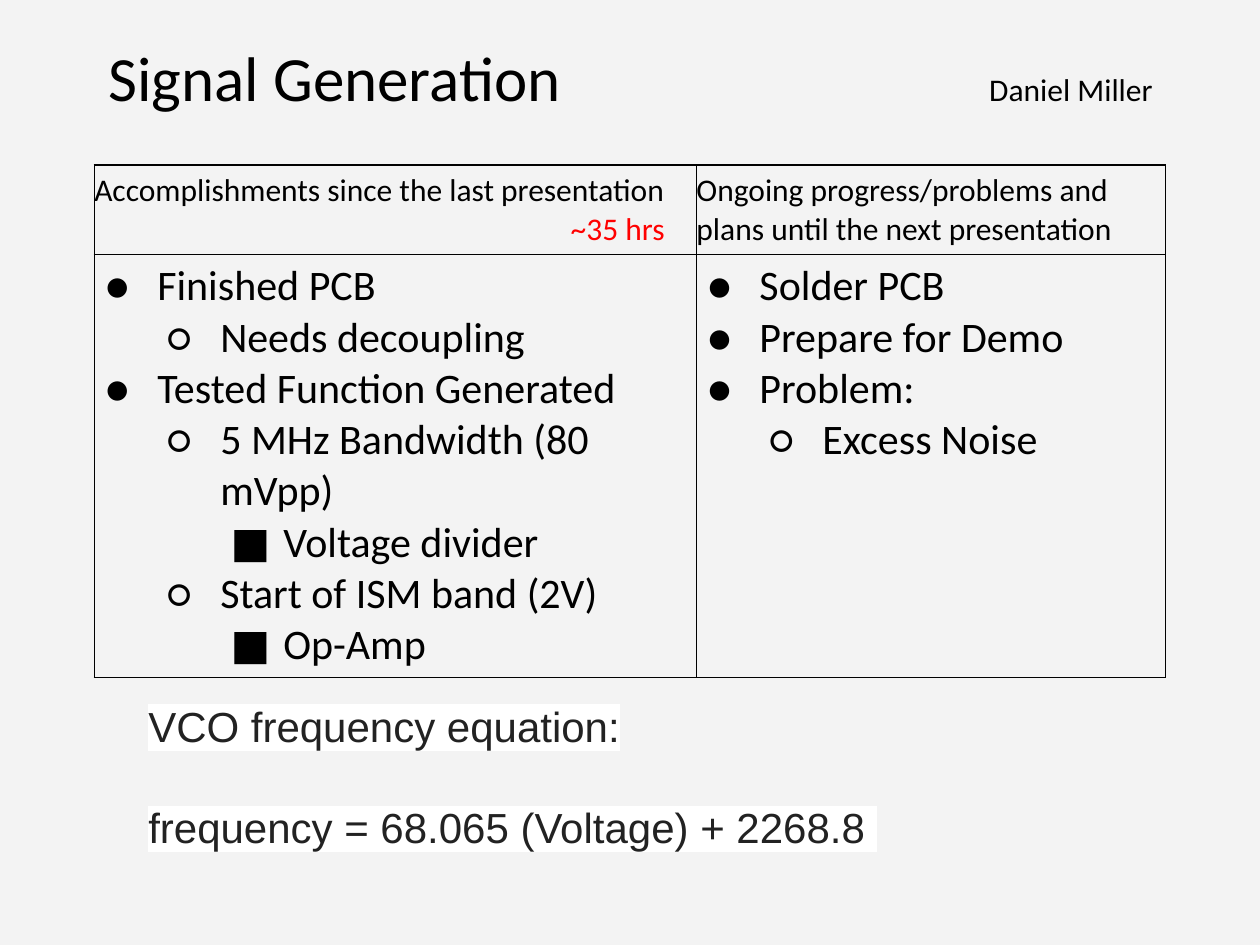
from lxml import etree
from pptx import Presentation
from pptx.dml.color import RGBColor
from pptx.enum.text import MSO_ANCHOR
from pptx.oxml.ns import qn
from pptx.util import Cm, Pt

MIDDLE = MSO_ANCHOR.MIDDLE
TOP = MSO_ANCHOR.TOP
COLORS = {
    "background": "F3F3F3",
    "text": "000000",
    "hours": "FF0000",
    "equation": "222222",
    "highlight": "FFFFFF",
}
BULLETS = "●○■"
ACCOMPLISHMENTS = [
    (0, "Finished PCB"),
    (1, "Needs decoupling"),
    (0, "Tested Function Generated"),
    (1, "5 MHz Bandwidth (80 mVpp)"),
    (2, "Voltage divider"),
    (1, "Start of ISM band (2V)"),
    (2, "Op-Amp"),
]
PLANS = [
    (0, "Solder PCB"),
    (0, "Prepare for Demo"),
    (0, "Problem:"),
    (1, "Excess Noise"),
]


def style_font(font, size, color="text", name="Calibri"):
    """Set size, colour and typeface of a font."""
    font.size = Pt(size)
    font.name = name
    font.color.rgb = RGBColor.from_string(COLORS[color])


def add_run(paragraph, text, size, color="text", name="Calibri"):
    """Append a styled run and return it."""
    run = paragraph.add_run()
    run.text = text
    style_font(run.font, size, color, name)
    return run


def add_right_tab(paragraph, position):
    """Give a paragraph a right-aligned tab stop."""
    properties = paragraph._p.get_or_add_pPr()
    tabs = etree.SubElement(properties, qn("a:tabLst"))
    etree.SubElement(tabs, qn("a:tab"), pos=str(position), algn="r")


def add_bullet(paragraph, level):
    """Give a paragraph the bullet and indent of its level."""
    paragraph.level = level
    properties = paragraph._p.get_or_add_pPr()
    properties.set("marL", str(Cm(1.27 * (level + 1))))
    properties.set("indent", str(Cm(-1.06)))
    color = etree.SubElement(properties, qn("a:buClr"))
    etree.SubElement(color, qn("a:srgbClr"), val=COLORS["text"])
    etree.SubElement(properties, qn("a:buFont"), typeface="Calibri")
    etree.SubElement(properties, qn("a:buChar"), char=BULLETS[level])


def next_paragraph(frame, index):
    """Return the first paragraph for index 0, otherwise a new one."""
    return frame.add_paragraph() if index else frame.paragraphs[0]


def add_heading(slide, left, top, width, height):
    """Place the title on the left and the presenter on the right."""
    frame = slide.shapes.add_textbox(left, top, width, height).text_frame
    frame.word_wrap = True
    frame.vertical_anchor = MIDDLE
    frame.margin_left = frame.margin_right = Cm(1.12)
    paragraph = frame.paragraphs[0]
    add_right_tab(paragraph, width - frame.margin_left - frame.margin_right)
    add_run(paragraph, "Signal Generation", 36)
    add_run(paragraph, "\tDaniel Miller", 18)


def format_cell(cell):
    """Clear the fill, set margins and draw the four borders."""
    cell.fill.background()
    cell.margin_left = cell.margin_right = 0
    cell.margin_top = cell.margin_bottom = Cm(0.13)
    cell.vertical_anchor = TOP
    properties = cell._tc.get_or_add_tcPr()
    for index, side in enumerate(("lnL", "lnR", "lnT", "lnB")):
        line = etree.Element(qn(f"a:{side}"), w=str(Pt(1)))
        fill = etree.SubElement(line, qn("a:solidFill"))
        etree.SubElement(fill, qn("a:srgbClr"), val=COLORS["text"])
        properties.insert(index, line)


def fill_list(cell, items):
    """Write the bulleted items into a cell."""
    for index, (level, text) in enumerate(items):
        paragraph = next_paragraph(cell.text_frame, index)
        add_bullet(paragraph, level)
        add_run(paragraph, text, 24)


def add_status_table(slide, left, top, width, height):
    """Place the table of accomplishments and plans."""
    table = slide.shapes.add_table(2, 2, left, top, width, height).table
    table.first_row = table.horz_banding = False
    table.columns[0].width = Cm(12.14)
    table.columns[1].width = width - Cm(12.14)
    table.rows[0].height = Cm(1.8)
    table.rows[1].height = height - Cm(1.8)
    for cell in table.iter_cells():
        format_cell(cell)

    done = table.cell(0, 0).text_frame
    add_run(done.paragraphs[0], "Accomplishments since the last presentation", 18)
    hours = done.add_paragraph()
    add_right_tab(hours, Cm(11.5))
    add_run(hours, "\t~35 hrs", 18, "hours")
    plans = table.cell(0, 1).text_frame.paragraphs[0]
    add_run(plans, "Ongoing progress/problems and plans until the next presentation", 18)
    fill_list(table.cell(1, 0), ACCOMPLISHMENTS)
    fill_list(table.cell(1, 1), PLANS)


def add_equation(slide, left, top, width, height):
    """Place the highlighted equation and its label."""
    frame = slide.shapes.add_textbox(left, top, width, height).text_frame
    frame.word_wrap = True
    frame.margin_top = frame.margin_bottom = Cm(0.25)
    lines = ("VCO frequency equation:", "frequency = 68.065 (Voltage) + 2268.8 ")
    for index, text in enumerate(lines):
        paragraph = next_paragraph(frame, index)
        paragraph.space_before = Pt(29 * index)
        run = add_run(paragraph, text, 24, "equation", "Arial")
        highlight = etree.Element(qn("a:highlight"))
        etree.SubElement(highlight, qn("a:srgbClr"), val=COLORS["highlight"])
        run._r.get_or_add_rPr().find(qn("a:solidFill")).addnext(highlight)


def main():
    """Build and save the slide."""
    presentation = Presentation()
    presentation.slide_width = Cm(25.4)
    presentation.slide_height = Cm(19.05)
    slide = presentation.slides.add_slide(presentation.slide_layouts[6])
    background = slide.background.fill
    background.solid()
    background.fore_color.rgb = RGBColor.from_string(COLORS["background"])
    add_heading(slide, Cm(1.07), Cm(0.64), Cm(23.29), Cm(1.8))
    add_status_table(slide, Cm(1.9), Cm(3.33), Cm(21.59), Cm(10.33))
    add_equation(slide, Cm(2.74), Cm(13.87), Cm(16.81), Cm(1.88))
    presentation.save("out.pptx")


if __name__ == "__main__":
    main()
